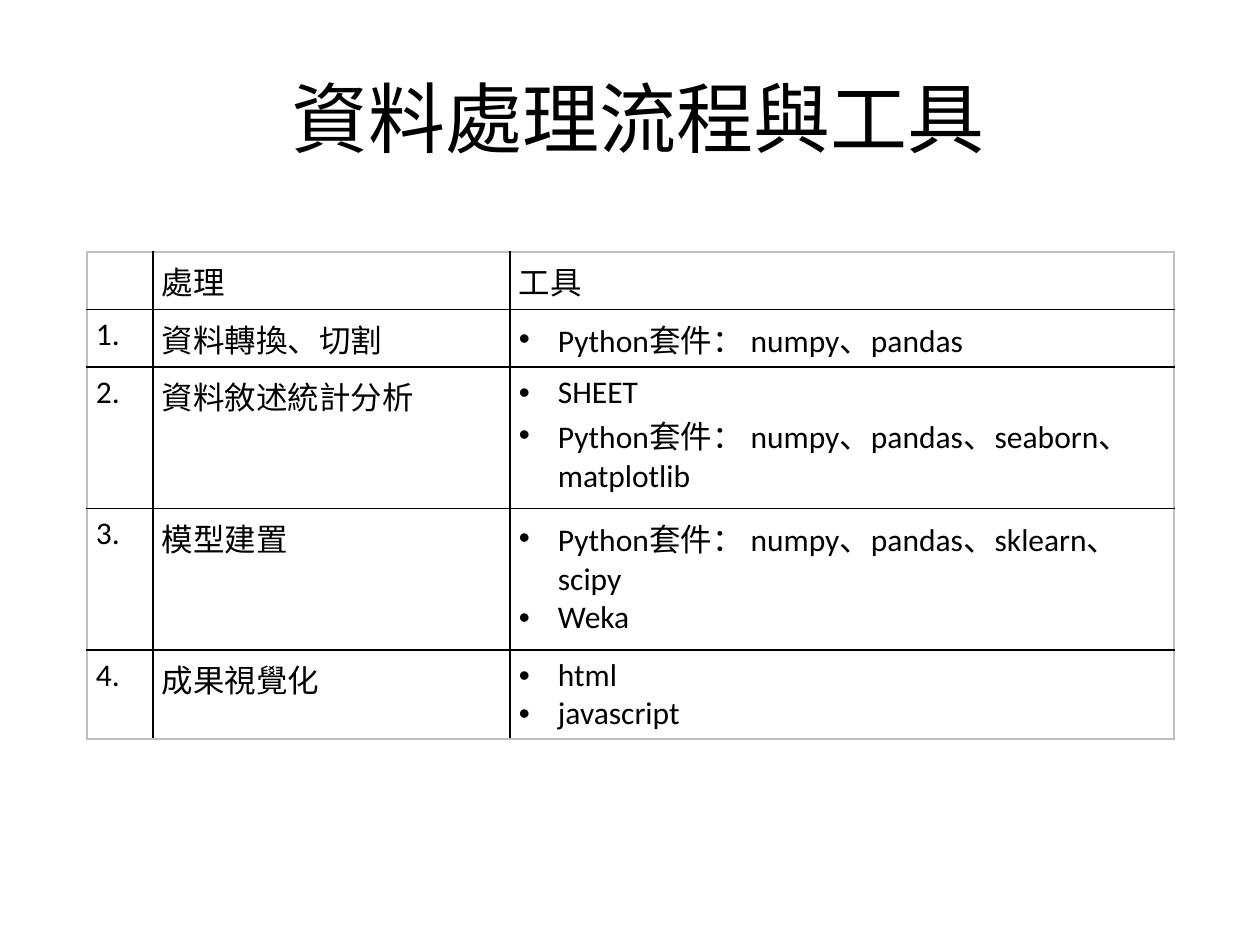
import dataclasses

import lxml.etree
import pptx
import pptx.dml.color
import pptx.enum.text
import pptx.oxml.ns
import pptx.util

PX = 914400 / 126


@dataclasses.dataclass(frozen=True)
class Theme:
    font: str = "Calibri"
    text: str = "000000"
    inner_line: str = "000000"
    outer_line: str = "BFBFBF"
    title_size: int = 44
    body_size: int = 18
    line_width: int = 1


THEME = Theme()
TITLE = " 資料處理流程與工具"
HEADER = ["", "處理", "工具"]
STEPS = [
    ("資料轉換、切割", ["Python套件： numpy、pandas"]),
    ("資料敘述統計分析", ["SHEET", "Python套件： numpy、pandas、seaborn、matplotlib"]),
    ("模型建置", ["Python套件： numpy、pandas、sklearn、scipy", "Weka"]),
    ("成果視覺化", ["html", "javascript"]),
]
COLUMNS = [66, 357, 664]
ROW_HEIGHT = 52


def px(n):
    return pptx.util.Emu(round(n * PX))


def sub(parent, tag, **attrs):
    el = lxml.etree.SubElement(parent, pptx.oxml.ns.qn(tag))
    for name, value in attrs.items():
        el.set(name, str(value))
    return el


def write(tf, lines, size=THEME.body_size, align=None, bullet=False):
    for i, line in enumerate(lines):
        p = tf.paragraphs[0] if i == 0 else tf.add_paragraph()
        if align is not None:
            p.alignment = align
        if bullet:
            add_bullet(p)
        r = p.add_run()
        r.text = line
        r.font.name = THEME.font
        r.font.size = pptx.util.Pt(size)
        r.font.color.rgb = pptx.dml.color.RGBColor.from_string(THEME.text)


def add_bullet(p, indent=39):
    pPr = p._p.get_or_add_pPr()
    pPr.set("marL", str(px(indent)))
    pPr.set("indent", str(-px(indent)))
    sub(pPr, "a:buFont", typeface="Arial")
    sub(pPr, "a:buChar", char="•")


def add_borders(cell, outer):
    """Draw all four edges; outer maps each side to whether it is on the rim."""
    tcPr = cell._tc.get_or_add_tcPr()
    for side, on_rim in outer.items():
        ln = sub(tcPr, f"a:ln{side}", w=pptx.util.Pt(THEME.line_width))
        fill = sub(ln, "a:solidFill")
        sub(fill, "a:srgbClr", val=THEME.outer_line if on_rim else THEME.inner_line)


def place_title(s, x, y, w, h):
    sp = s.shapes.title
    sp.left, sp.top, sp.width, sp.height = map(px, (x, y, w, h))
    tf = sp.text_frame
    tf.vertical_anchor = pptx.enum.text.MSO_ANCHOR.MIDDLE
    write(tf, [TITLE], size=THEME.title_size, align=pptx.enum.text.PP_ALIGN.CENTER)


def place_table(s, x, y, w, h):
    rows = [[[text] if text else [] for text in HEADER]]
    rows += [[[f"{n}."], [step], tools] for n, (step, tools) in enumerate(STEPS, 1)]
    frame = s.shapes.add_table(len(rows), len(COLUMNS), *map(px, (x, y, w, h)))
    table = frame.table
    table.first_row = table.horz_banding = False
    for column, share in zip(table.columns, COLUMNS):
        column.width = px(w * share / sum(COLUMNS))
    last_row, last_col = len(rows) - 1, len(COLUMNS) - 1
    for i, row in enumerate(rows):
        table.rows[i].height = px(ROW_HEIGHT)
        for j, lines in enumerate(row):
            cell = table.cell(i, j)
            cell.margin_left = cell.margin_right = px(9)
            cell.margin_top = cell.margin_bottom = px(6)
            add_borders(cell, {"L": j == 0, "R": j == last_col,
                               "T": i == 0, "B": i == last_row})
            cell.fill.background()
            write(cell.text_frame, lines, bullet=i > 0 and j == last_col)
    frame.height = px(h)


def main():
    prs = pptx.Presentation()
    prs.slide_width, prs.slide_height = px(1260), px(945)
    s = prs.slides.add_slide(prs.slide_layouts.get_by_name("Title Only"))
    place_title(s, 63, 38, 1134, 157)
    place_table(s, 87, 252, 1087, 442)
    prs.save("out.pptx")


if __name__ == "__main__":
    main()
